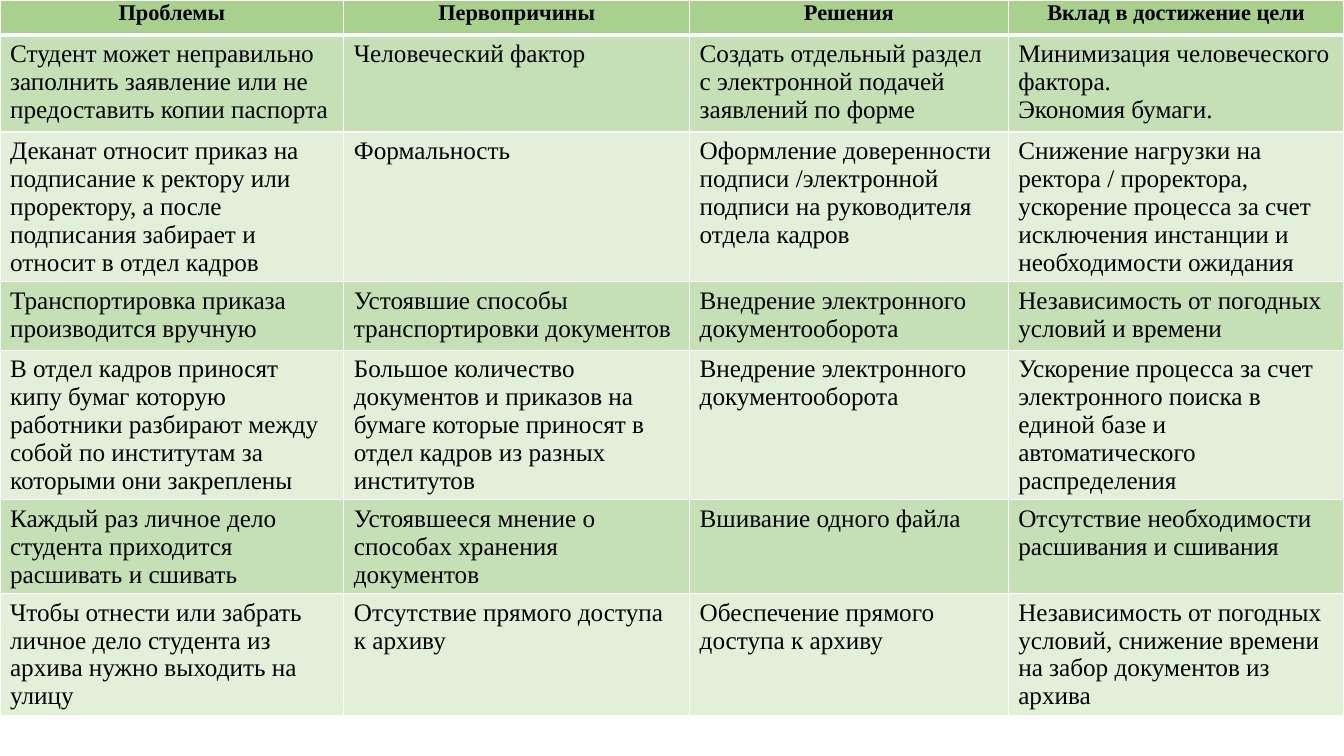
from lxml.etree import SubElement
from pptx import Presentation
from pptx.dml.color import RGBColor
from pptx.enum.text import PP_ALIGN
from pptx.oxml.ns import qn
from pptx.util import Inches, Pt

COLORS = {"header": "A9D18E", "odd": "C5E0B4", "even": "E2F0D9",
          "text": "000000", "border": "FFFFFF"}
HEADER_FORMAT = {"size": Pt(16), "bold": True}
BODY_FORMAT = {"size": Pt(18), "bold": False}
HEADER_MARGINS = {"margin_left": Inches(0.07), "margin_right": Inches(0.07),
                  "margin_top": 0, "margin_bottom": 0}
COLUMN_WIDTHS = [3.41, 3.43, 3.16, 3.33]
ROW_HEIGHTS = [0.35, 0.96, 0.68, 0.68, 0.68, 0.68, 0.37]
TABLE_HEIGHT = 7.55

ROWS = [
    ["Проблемы", "Первопричины", "Решения", "Вклад в достижение цели"],
    ["Студент может неправильно заполнить заявление или не предоставить копии паспорта",
     "Человеческий фактор",
     "Создать отдельный раздел с электронной подачей заявлений по форме",
     "Минимизация человеческого фактора.\nЭкономия бумаги."],
    ["Деканат относит приказ на подписание к ректору или проректору, "
     "а после подписания забирает и относит в отдел кадров",
     "Формальность",
     "Оформление доверенности подписи /электронной подписи на руководителя отдела кадров",
     "Снижение нагрузки на ректора / проректора, ускорение процесса "
     "за счет исключения инстанции и необходимости ожидания"],
    ["Транспортировка приказа производится вручную",
     "Устоявшие способы транспортировки документов",
     "Внедрение электронного документооборота",
     "Независимость от погодных условий и времени"],
    ["В отдел кадров приносят кипу бумаг которую работники разбирают "
     "между собой по институтам за которыми они закреплены",
     "Большое количество документов и приказов на бумаге "
     "которые приносят в отдел кадров из разных институтов",
     "Внедрение электронного документооборота",
     "Ускорение процесса за счет электронного поиска в единой базе "
     "и автоматического распределения"],
    ["Каждый раз личное дело студента приходится расшивать и сшивать",
     "Устоявшееся мнение о способах хранения документов",
     "Вшивание одного файла",
     "Отсутствие необходимости расшивания и сшивания"],
    ["Чтобы отнести или забрать личное дело студента из архива нужно выходить на улицу",
     "Отсутствие прямого доступа к архиву",
     "Обеспечение прямого доступа к архиву",
     "Независимость от погодных условий, снижение времени на забор документов из архива"],
]


def set_attributes(target, values):
    for name, value in values.items():
        setattr(target, name, value)


class SlideBuilder:
    def __init__(self, slide, font_name):
        self.slide = slide
        self.font_name = font_name

    def add_table(self, rows, column_widths, row_heights, height):
        shape = self.slide.shapes.add_table(
            len(rows), len(column_widths), 0, 0,
            Inches(sum(column_widths)), Inches(height))
        table = shape.table
        for column, width in zip(table.columns, column_widths):
            column.width = Inches(width)
        for row, row_height in zip(table.rows, row_heights):
            row.height = Inches(row_height)
        shape.height = Inches(height)
        for row_index, texts in enumerate(rows):
            for column_index, text in enumerate(texts):
                self.fill_cell(table.cell(row_index, column_index), text, row_index)

    def fill_cell(self, cell, text, row_index):
        is_header = row_index == 0
        self.add_borders(cell, row_index)
        color = "header" if is_header else "odd" if row_index % 2 else "even"
        cell.fill.solid()
        cell.fill.fore_color.rgb = RGBColor.from_string(COLORS[color])
        if is_header:
            set_attributes(cell, HEADER_MARGINS)
        cell.text = text
        for paragraph in cell.text_frame.paragraphs:
            paragraph.alignment = PP_ALIGN.CENTER if is_header else PP_ALIGN.LEFT
            for run in paragraph.runs:
                set_attributes(run.font, HEADER_FORMAT if is_header else BODY_FORMAT)
                run.font.name = self.font_name
                run.font.color.rgb = RGBColor.from_string(COLORS["text"])

    def add_borders(self, cell, row_index):
        """Draw thin cell borders, with a thick line under the header row."""
        widths = {"lnL": 1, "lnR": 1, "lnT": 3 if row_index == 1 else 1,
                  "lnB": 3 if row_index == 0 else 1}
        properties = cell._tc.get_or_add_tcPr()
        for side, width in widths.items():
            line = SubElement(properties, qn(f"a:{side}"), w=str(Pt(width)))
            fill = SubElement(line, qn("a:solidFill"))
            SubElement(fill, qn("a:srgbClr"), val=COLORS["border"])


def main():
    presentation = Presentation()
    presentation.slide_width = Inches(13.33)
    presentation.slide_height = Inches(7.5)
    slide = presentation.slides.add_slide(presentation.slide_layouts[6])
    builder = SlideBuilder(slide, "Times New Roman")
    builder.add_table(ROWS, COLUMN_WIDTHS, ROW_HEIGHTS, TABLE_HEIGHT)
    presentation.save("out.pptx")


if __name__ == "__main__":
    main()
